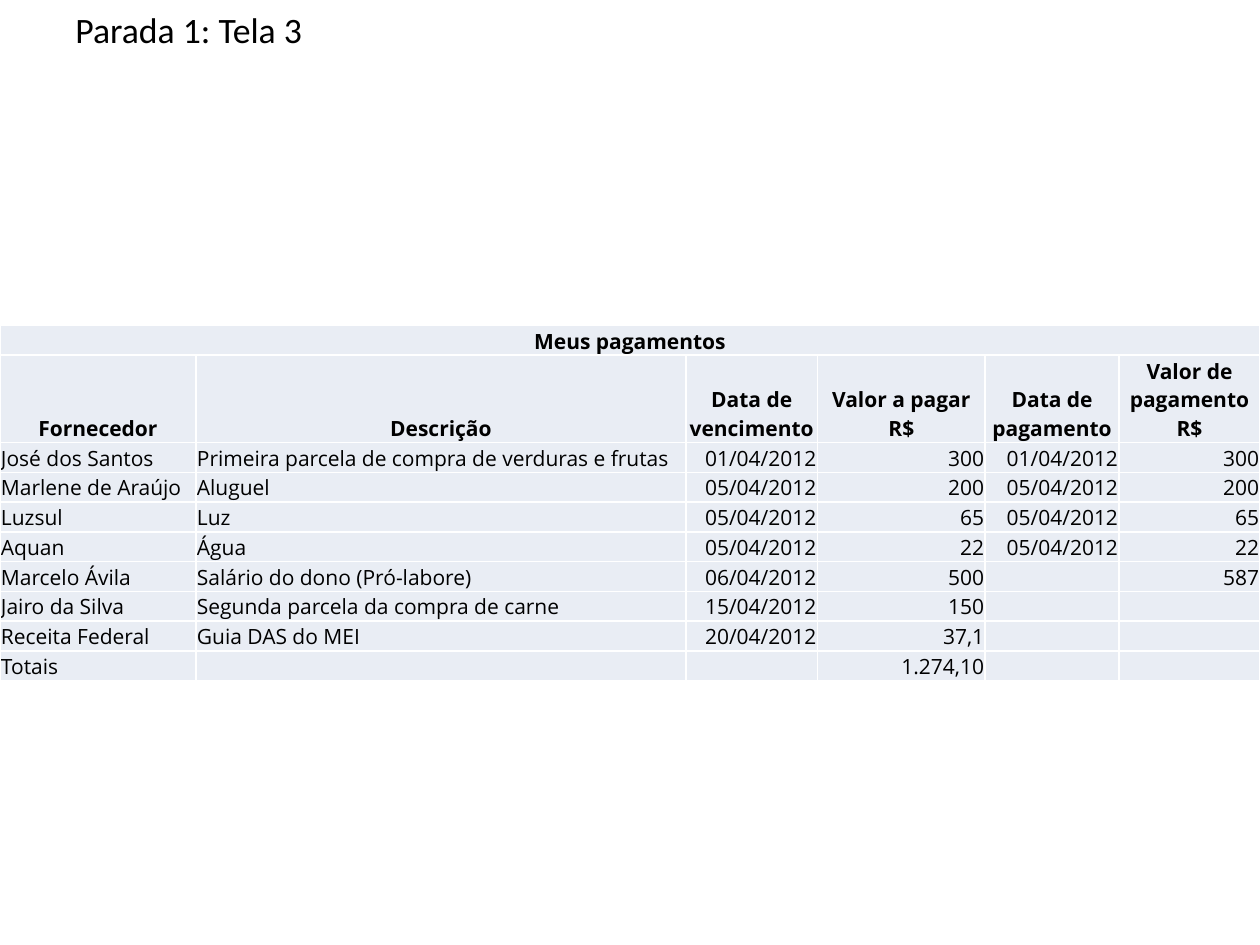
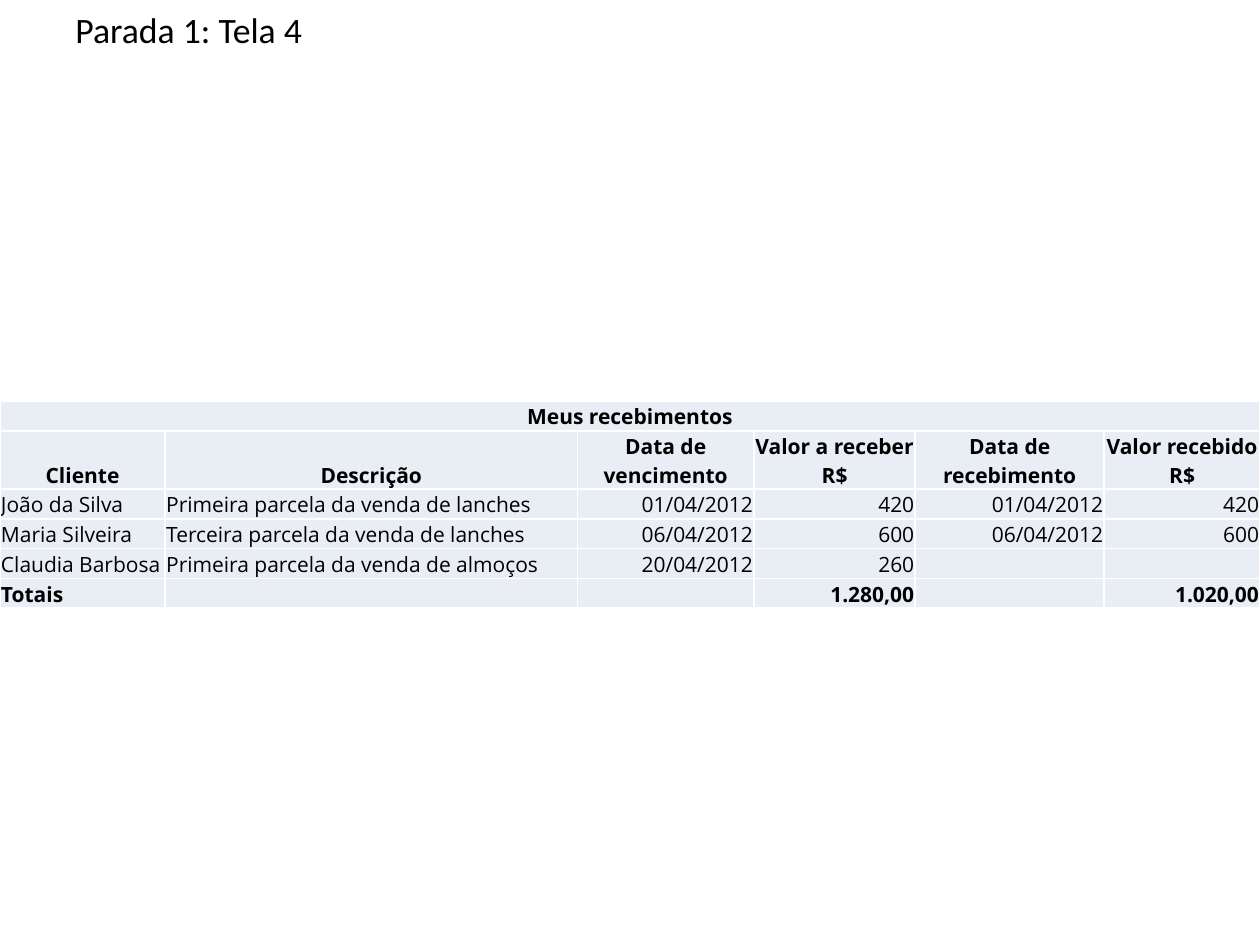
from pptx import Presentation
from pptx.dml.color import RGBColor
from pptx.enum.text import MSO_ANCHOR as Anchor, PP_ALIGN as Align
from pptx.oxml.ns import qn
from pptx.util import Cm, Pt
from lxml.etree import SubElement

COLORS = {"text": "000000", "cell": "E9EDF4", "border": "FFFFFF"}
TITLE_FONT, TABLE_FONT = "Calibri", "Open Sans"
TITLE_SIZE, TABLE_SIZE = Pt(20.4), Pt(12)
TITLE_BOX = (1.27, 0.03, 22.86, 0.97)
ROW_HEIGHT = 0.6
BLANK_LAYOUT = 6
# supplier or client, description, due date, amount, date paid, amount paid
BODY_ALIGN = [Align.LEFT] * 2 + [Align.RIGHT] * 4


def add_run(paragraph, text, font_name, size, bold=False):
    run = paragraph.add_run()
    run.text = text
    run.font.name, run.font.size, run.font.bold = font_name, size, bold
    run.font.color.rgb = RGBColor.from_string(COLORS["text"])


def add_title(slide, box, text):
    frame = slide.shapes.add_textbox(*map(Cm, box)).text_frame
    frame.word_wrap = True
    heading = frame.paragraphs[0]
    heading.space_before = Pt(4)
    add_run(heading, text, TITLE_FONT, TITLE_SIZE)


def set_borders(cell):
    properties = cell._tc.get_or_add_tcPr()
    for side in ("a:lnL", "a:lnR", "a:lnT", "a:lnB"):
        line = SubElement(properties, qn(side), w=str(Pt(1)))
        fill = SubElement(line, qn("a:solidFill"))
        SubElement(fill, qn("a:srgbClr"), val=COLORS["border"])


def fill_cell(cell, text, align, bold):
    set_borders(cell)
    cell.fill.solid()
    cell.fill.fore_color.rgb = RGBColor.from_string(COLORS["cell"])
    cell.margin_left = cell.margin_right = cell.margin_top = Cm(0.02)
    cell.margin_bottom = 0
    cell.vertical_anchor = Anchor.BOTTOM
    entry = cell.text_frame.paragraphs[0]
    entry.alignment = align
    if text:
        add_run(entry, text, TABLE_FONT, TABLE_SIZE, bold)
    else:
        # An empty cell keeps the row as low as its neighbours
        ending = entry._p.get_or_add_endParaRPr()
        ending.set("sz", str(int(TABLE_SIZE.pt * 100)))
        SubElement(ending, qn("a:latin"), typeface=TABLE_FONT)


def add_ledger(slide, corner, caption, headers, entries, widths, header_height, bold_totals):
    rows = [[caption] + [""] * (len(headers) - 1), headers] + entries
    heights = [ROW_HEIGHT, header_height] + [ROW_HEIGHT] * len(entries)
    size = (sum(widths), sum(heights))
    ledger = slide.shapes.add_table(len(rows), len(headers), *map(Cm, corner + size)).table
    ledger.first_row = ledger.horz_banding = False
    for column, width in zip(ledger.columns, widths):
        column.width = Cm(width)
    for row, height in zip(ledger.rows, heights):
        row.height = Cm(height)
    ledger.cell(0, 0).merge(ledger.cell(0, len(headers) - 1))

    for r, values in enumerate(rows):
        is_header = r < 2
        bold = is_header or (bold_totals and r == len(rows) - 1)
        for c, value in enumerate(values):
            align = Align.CENTER if is_header else BODY_ALIGN[c]
            fill_cell(ledger.cell(r, c), value, align, bold)


def add_ledger_slide(deck, title, **ledger):
    slide = deck.slides.add_slide(deck.slide_layouts[BLANK_LAYOUT])
    add_title(slide, TITLE_BOX, title)
    add_ledger(slide, **ledger)


deck = Presentation()
deck.slide_width, deck.slide_height = Cm(25.4), Cm(19.05)

# Payments
add_ledger_slide(
    deck, "Parada 1: Tela 3",
    corner=(0, 6.56),
    caption="Meus pagamentos",
    headers=["Fornecedor", "Descrição", "Data de vencimento", "Valor a pagar R$",
             "Data de pagamento", "Valor de pagamento R$"],
    entries=[
        ["José dos Santos", "Primeira parcela de compra de verduras e frutas",
         "01/04/2012", "300", "01/04/2012", "300"],
        ["Marlene de Araújo", "Aluguel", "05/04/2012", "200", "05/04/2012", "200"],
        ["Luzsul", "Luz", "05/04/2012", "65", "05/04/2012", "65"],
        ["Aquan", "Água", "05/04/2012", "22", "05/04/2012", "22"],
        ["Marcelo Ávila", "Salário do dono (Pró-labore)", "06/04/2012", "500", "", "587"],
        ["Jairo da Silva", "Segunda parcela da compra de carne", "15/04/2012", "150", "", ""],
        ["Receita Federal", "Guia DAS do MEI", "20/04/2012", "37,1", "", ""],
        ["Totais", "", "", "1.274,10", "", ""],
    ],
    widths=[3.95, 9.88, 2.65, 3.38, 2.7, 2.84],
    header_height=1.76,
    bold_totals=False,
)

# Receipts
add_ledger_slide(
    deck, "Parada 1: Tela 4",
    corner=(0, 8.09),
    caption="Meus recebimentos",
    headers=["Cliente", "Descrição", "Data de vencimento", "Valor a receber R$",
             "Data de recebimento", "Valor recebido R$"],
    entries=[
        ["João da Silva", "Primeira parcela da venda de lanches",
         "01/04/2012", "420", "01/04/2012", "420"],
        ["Maria Silveira", "Terceira parcela da venda de lanches",
         "06/04/2012", "600", "06/04/2012", "600"],
        ["Claudia Barbosa", "Primeira parcela da venda de almoços",
         "20/04/2012", "260", "", ""],
        ["Totais", "", "", "1.280,00", "", "1.020,00"],
    ],
    widths=[3.33, 8.31, 3.56, 3.25, 3.81, 3.14],
    header_height=1.17,
    bold_totals=True,
)

deck.save("out.pptx")
